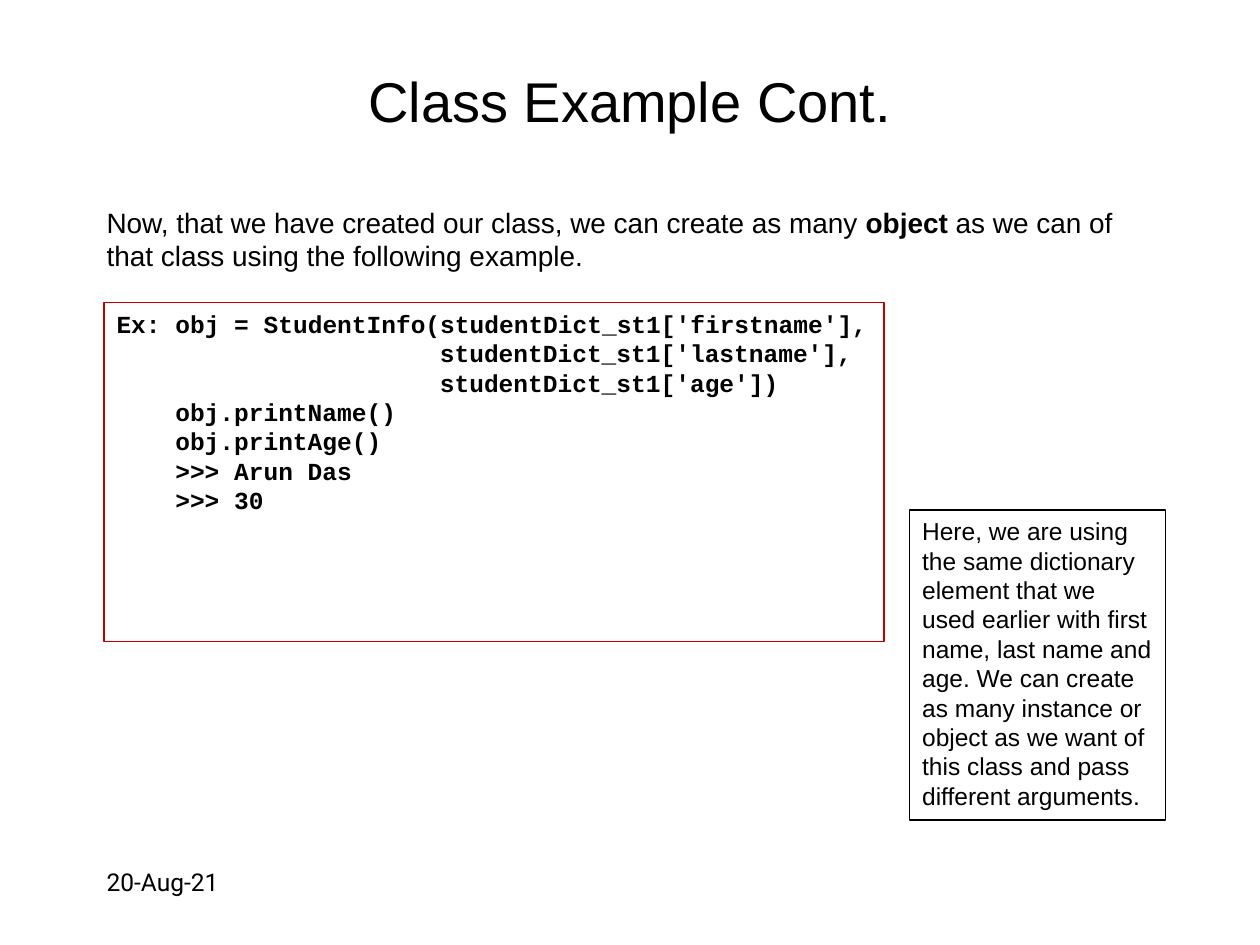
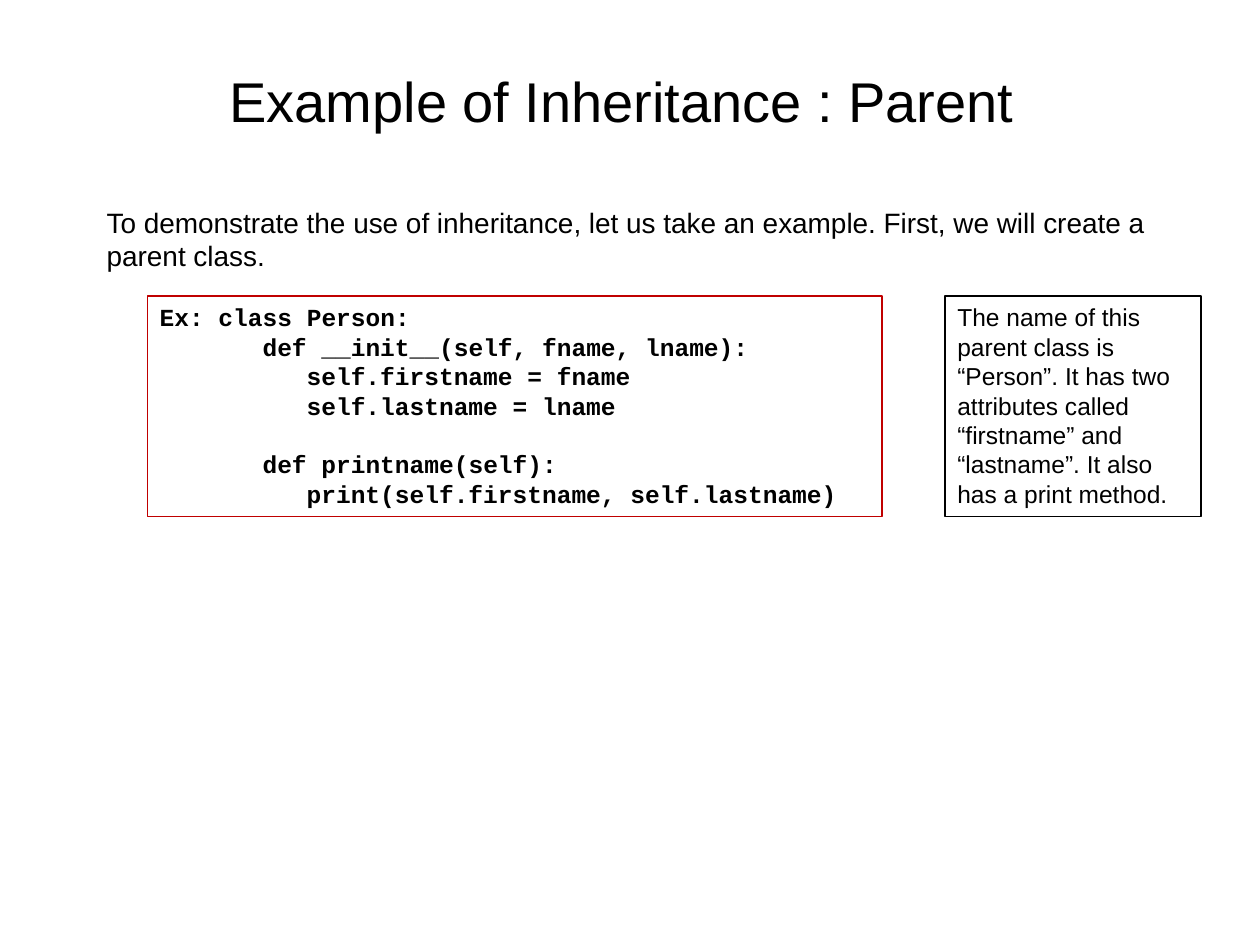
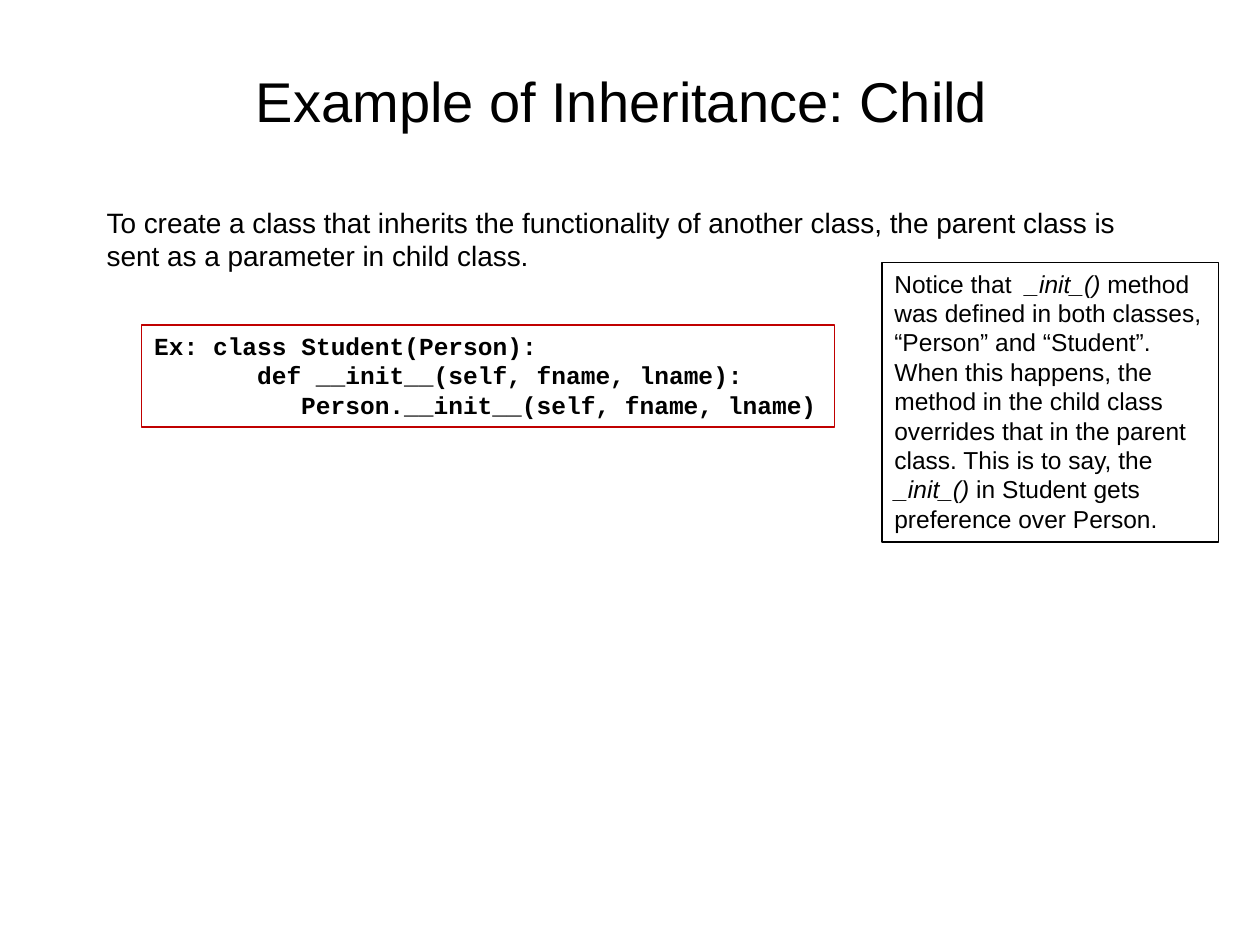
from collections import namedtuple

from pptx import Presentation
from pptx import util as u
from pptx.dml import color
from pptx.enum import shapes, text

BLACK = color.RGBColor(0x00, 0x00, 0x00)
RED = color.RGBColor(0xC0, 0x00, 0x00)
SANS, MONO, DATE = "Arial", "Courier New", "Roboto"
LEAD = 1.2
CODE = 14
CHAR = 0.6 * CODE

Box = namedtuple("Box", "left top width height")
Run = namedtuple("Run", "words bold italic", defaults=(False, False))
Line = namedtuple("Line", "col words skip", defaults=(0,))

HEAD = Box(1.9, 0.43, 21.6, 3.18)
BODY = Box(1.9, 4.01, 21.6, 12.9)
FOOT = Box(1.9, 17.35, 5.28, 1.27)


def place(box):
    """Turn a box in centimetres into lengths."""
    return [u.Cm(side) for side in box]


def write(para, runs, size, font):
    """Fill a paragraph run by run."""
    para.line_spacing = u.Pt(LEAD * size)
    for part in runs:
        run = para.add_run()
        run.text = part.words
        run.font.size = u.Pt(size)
        run.font.name = font
        run.font.bold = part.bold
        run.font.italic = part.italic
        run.font.color.rgb = BLACK


def label(slide, box, runs, size, font=SANS):
    """Add a wrapped text box and return its frame."""
    frame = slide.shapes.add_textbox(*place(box)).text_frame
    frame.word_wrap = True
    write(frame.paragraphs[0], runs, size, font)
    return frame


def panel(slide, box, edge):
    """Add an outlined rectangle and return its frame."""
    rect = slide.shapes.add_shape(shapes.MSO_SHAPE.RECTANGLE, *place(box))
    rect.shadow.inherit = False
    rect.fill.background()
    rect.line.color.rgb = edge
    rect.line.width = u.Pt(0.75)
    frame = rect.text_frame
    frame.word_wrap = True
    frame.vertical_anchor = text.MSO_ANCHOR.TOP
    return frame


def code(slide, box, lines):
    """Show code lines, each indented to its column."""
    frame = panel(slide, box, RED)
    for num, line in enumerate(lines):
        para = frame.add_paragraph() if num else frame.paragraphs[0]
        para.alignment = text.PP_ALIGN.LEFT
        para.space_before = u.Pt(line.skip * LEAD * CODE)
        props = para._p.get_or_add_pPr()
        props.set("marL", str(u.Pt(line.col * CHAR)))
        props.set("indent", "0")
        write(para, [Run(line.words, True)], CODE, MONO)


def note(slide, box, runs):
    """Show a framed remark."""
    para = panel(slide, box, BLACK).paragraphs[0]
    para.alignment = text.PP_ALIGN.LEFT
    write(para, runs, 14, SANS)


def page(deck, title, intro):
    """Add a slide with its title and opening text."""
    slide = deck.slides.add_slide(deck.slide_layouts[6])
    head = label(slide, HEAD, [Run(title)], 32)
    head.vertical_anchor = text.MSO_ANCHOR.MIDDLE
    head.paragraphs[0].alignment = text.PP_ALIGN.CENTER
    label(slide, BODY, intro, 16)
    return slide


def usage(deck):
    """Build the slide on creating objects."""
    slide = page(deck, "Class Example Cont.", [
        Run("Now, that we have created our class, we can create as many "),
        Run("object ", True),
        Run("as we can of that class using the following example."),
    ])
    label(slide, FOOT, [Run("20-Aug-21")], 14, DATE)
    code(slide, Box(2.1, 6.1, 15.72, 6.83), [
        Line(0, "Ex: obj = StudentInfo(studentDict_st1['firstname'],"),
        Line(22, "studentDict_st1['lastname'],"),
        Line(22, "studentDict_st1['age'])"),
        Line(4, "obj.printName()"),
        Line(4, "obj.printAge()"),
        Line(4, ">>> Arun Das"),
        Line(4, ">>> 30"),
    ])
    note(slide, Box(18.34, 10.28, 5.16, 6.25), [Run(
        "Here, we are using the same dictionary element that we used "
        "earlier with first name, last name and age. We can create as many "
        "instance or object as we want of this class and pass different "
        "arguments.")])


def parent(deck):
    """Build the slide on the parent class."""
    slide = page(deck, "Example of Inheritance : Parent ", [Run(
        "To demonstrate the use of inheritance, let us take an example. "
        "First, we will create a parent class.")])
    code(slide, Box(2.97, 5.97, 14.81, 4.45), [
        Line(0, "Ex: class Person:"),
        Line(7, "def __init__(self, fname, lname):"),
        Line(10, "self.firstname = fname"),
        Line(10, "self.lastname = lname"),
        Line(7, "def printname(self):", 1),
        Line(10, "print(self.firstname, self.lastname)"),
    ])
    note(slide, Box(19.05, 5.97, 5.16, 4.45), [Run(
        "The name of this parent class is “Person”. It has two attributes "
        "called “firstname” and “lastname”. It also has a print method.")])


def child(deck):
    """Build the slide on the child class."""
    slide = page(deck, "Example of Inheritance: Child ", [Run(
        "To create a class that inherits the functionality of another class, "
        "the parent class is sent as a parameter in child class.")])
    code(slide, Box(2.86, 6.55, 13.97, 2.06), [
        Line(0, "Ex: class Student(Person):"),
        Line(7, "def __init__(self, fname, lname):"),
        Line(10, "Person.__init__(self, fname, lname)"),
    ])
    note(slide, Box(17.78, 5.29, 6.78, 5.64), [
        Run("Notice that  "),
        Run("_init_() ", italic=True),
        Run("method was defined in both classes, “Person” and “Student”. "
            "When this happens, the method in the child class overrides that "
            "in the parent class. This is to say, the "),
        Run("_init_()", italic=True),
        Run(" in Student gets preference over Person."),
    ])


def main():
    """Build and save the deck."""
    deck = Presentation()
    deck.slide_width, deck.slide_height = u.Cm(25.4), u.Cm(19.05)
    for build in (usage, parent, child):
        build(deck)
    deck.save("out.pptx")


if __name__ == "__main__":
    main()
